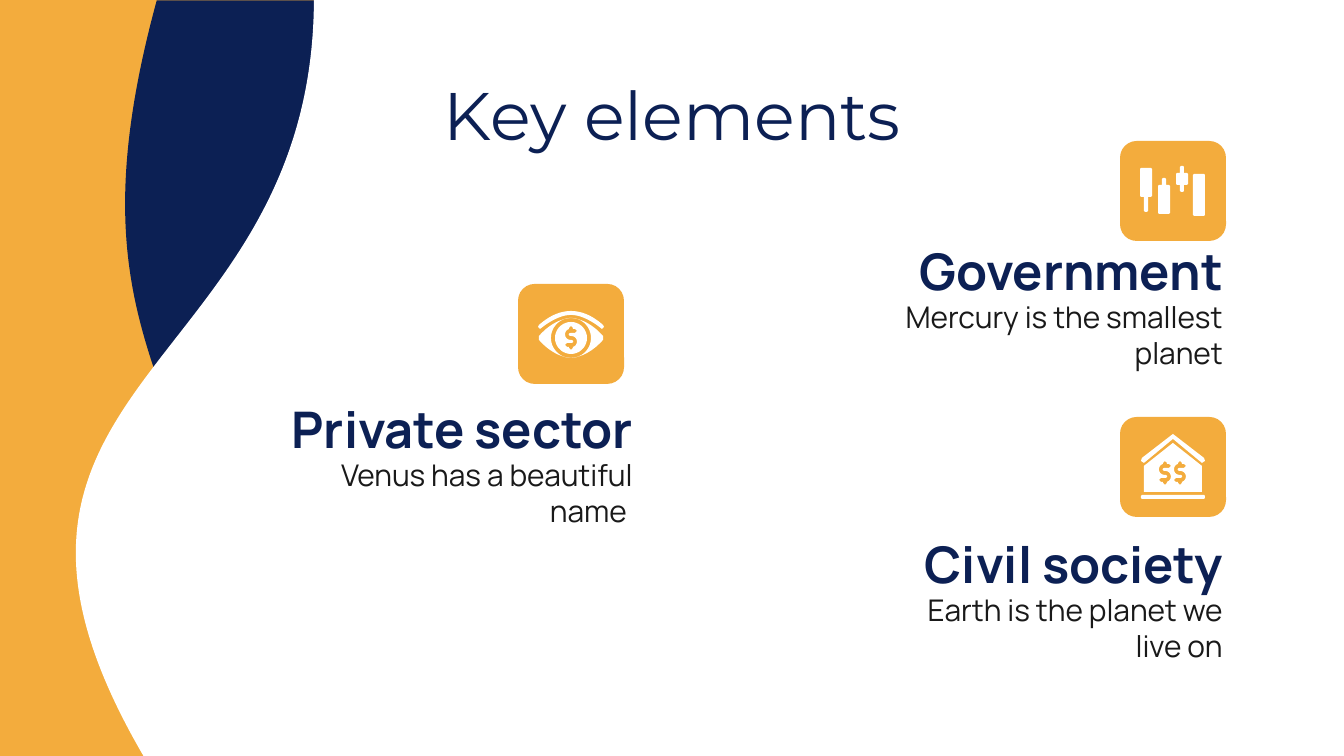
import math

from pptx import Presentation
from pptx import util as u
from pptx.dml.color import RGBColor
from pptx.enum import shapes, text

SCALE = 914400 / 134.4
COLORS = {"orange": "F3AC3D", "navy": "0C2054", "white": "FFFFFF", "ink": "191919"}


def px(value):
    return u.Emu(round(value * SCALE))


def color(name):
    return RGBColor.from_string(COLORS[name])


def paint(shape, fill):
    shape.shadow.inherit = False
    shape.fill.solid()
    shape.fill.fore_color.rgb = color(fill)
    shape.line.fill.background()


def add_preset(slide, kind, box, fill):
    shape = slide.shapes.add_shape(kind, *map(px, box))
    paint(shape, fill)
    return shape


def add_wave(slide, box, fill, flipped=False):
    wave = add_preset(slide, shapes.MSO_SHAPE.FLOWCHART_DOCUMENT, box, fill)
    wave.rotation = 90
    if flipped:
        wave._element.spPr.xfrm.set("flipH", "1")


def format_text(shape, wording, size, font_name, fill, align, bold=False):
    frame = shape.text_frame
    frame.text = wording
    frame.word_wrap = True
    frame.auto_size = text.MSO_AUTO_SIZE.NONE
    frame.vertical_anchor = text.MSO_ANCHOR.MIDDLE
    frame.margin_left = frame.margin_right = u.Inches(0.1)
    frame.margin_top = frame.margin_bottom = u.Inches(0.1)
    paragraph = frame.paragraphs[0]
    paragraph.alignment = align
    font = paragraph.runs[0].font
    font.size, font.name, font.bold = u.Pt(size), font_name, bold
    font.color.rgb = color(fill)


def add_title(slide, wording, box):
    title = slide.shapes.title
    title.left, title.top, title.width, title.height = map(px, box)
    slide.shapes._spTree.append(title._element)
    format_text(title, wording, 36, "Montserrat", "navy", text.PP_ALIGN.CENTER)


def add_section(slide, heading, detail, right, top):
    right_align = text.PP_ALIGN.RIGHT
    box = slide.shapes.add_textbox(*map(px, (right - 395, top, 395, 78)))
    format_text(box, heading, 27, "Manrope", "navy", right_align, bold=True)
    box = slide.shapes.add_textbox(*map(px, (right - 344, top + 68, 344, 71)))
    format_text(box, detail, 16, "Manrope", "ink", right_align)


def add_icon(slide, outlines):
    group = slide.shapes.add_group_shape()
    for contours in outlines:
        first, *others = [[(px(x), px(y)) for x, y in c] for c in contours]
        builder = group.shapes.build_freeform(*first[0], scale=1.0)
        builder.add_line_segments(first[1:])
        for contour in others:
            builder.move_to(*contour[0])
            builder.add_line_segments(contour[1:])
        paint(builder.convert_to_shape(), "white")


def curve(*controls):
    points = []
    for step in range(13):
        t = step / 12
        weights = ((1 - t) ** 3, 3 * t * (1 - t) ** 2, 3 * t * t * (1 - t), t ** 3)
        points.append(tuple(sum(w * c[axis] for w, c in zip(weights, controls))
                            for axis in (0, 1)))
    return points


def arc(center_x, center_y, radius, start, end):
    angles = [math.radians(start + (end - start) * i / 36) for i in range(37)]
    return [(center_x + radius * math.cos(a), center_y + radius * math.sin(a))
            for a in angles]


def mirror(points, center_x):
    return [(2 * center_x - x, y) for x, y in reversed(points)]


def dollar(center_x, center_y):
    half = [(0, -12), (2, -10), (2, -9), (4, -9), (6, -7), (4, -5)]
    half += curve((0, -5), (-3, -5), (-3, -2), (0, -2))
    half += curve((0, -2), (7, -2), (8, 7), (2, 9)) + [(2, 10)]
    whole = half + [(-x, -y) for x, y in half]
    return [(center_x + x, center_y + y) for x, y in whole + whole[:1]]


def bar(center_x, half, top, body_top, body_bottom, bottom):
    profile = [(1, top), (2, min(top + 1, body_top)), (2, body_top),
               (half - 1, body_top), (half, body_top + 1),
               (half, body_bottom - 1), (half - 1, body_bottom),
               (2, body_bottom), (2, max(bottom - 1, body_bottom)), (1, bottom)]
    right = [(center_x + x, y) for x, y in profile]
    return right + mirror(right, center_x) + right[:1]


def house_icon():
    roof = [(1173, 434), (1204, 458), (1205, 461), (1202, 463), (1173, 439)]
    roof += mirror(roof, 1173)
    walls = [(1173, 443), (1202, 466), (1202, 492)]
    walls += mirror(walls, 1173)
    base = bar(1173, 32, 495, 495, 499, 499)
    return [[roof], [base], [walls, dollar(1165, 473), dollar(1180, 473)]]


def eye_icon():
    left = curve((571, 318), (558, 319), (547, 327), (539, 336))
    left += curve((539, 340), (547, 349), (558, 357), (571, 358))
    left += arc(571, 338, 20, 90, 270)
    iris = arc(571, 338, 16, 0, 360)
    brow = curve((539, 325), (548, 317), (559, 311), (571, 311))
    brow += mirror(brow, 571)
    inner = curve((602, 329), (592, 321), (581, 315), (571, 315))
    brow += [(604, 327)] + inner + mirror(inner, 571) + [(538, 327), brow[0]]
    return [[left], [mirror(left, 571)], [iris, dollar(571, 338)], [brow]]


def candles_icon():
    candles = [(1199, 6, 174, 174, 216, 216), (1164, 6, 178, 185, 214, 214),
               (1182, 6, 166, 173, 185, 192), (1146, 6, 168, 168, 197, 212)]
    return [[bar(*candle)] for candle in candles]


def main():
    presentation = Presentation()
    presentation.slide_width, presentation.slide_height = px(1344), px(756)
    slide = presentation.slides.add_slide(presentation.slide_layouts[5])
    slide.background.fill.solid()
    slide.background.fill.fore_color.rgb = color("orange")

    add_wave(slide, (36, 82, 756, 593), "navy")
    add_wave(slide, (322, -265, 760, 1285), "white", flipped=True)
    for left, top in ((518, 284), (1120, 141), (1120, 417)):
        add_preset(slide, shapes.MSO_SHAPE.ROUNDED_RECTANGLE,
                   (left, top, 106, 100), "orange")

    add_title(slide, "Key elements", (106, 78, 1133, 71))
    sections = [
        ("Government", "Mercury is the smallest planet", 1236, 231),
        ("Private sector", "Venus has a beautiful name ", 646, 389),
        ("Civil society", "Earth is the planet we live on", 1236, 524),
    ]
    for section in sections:
        add_section(slide, *section)
    for outlines in (house_icon(), eye_icon(), candles_icon()):
        add_icon(slide, outlines)
    presentation.save("out.pptx")


if __name__ == "__main__":
    main()
